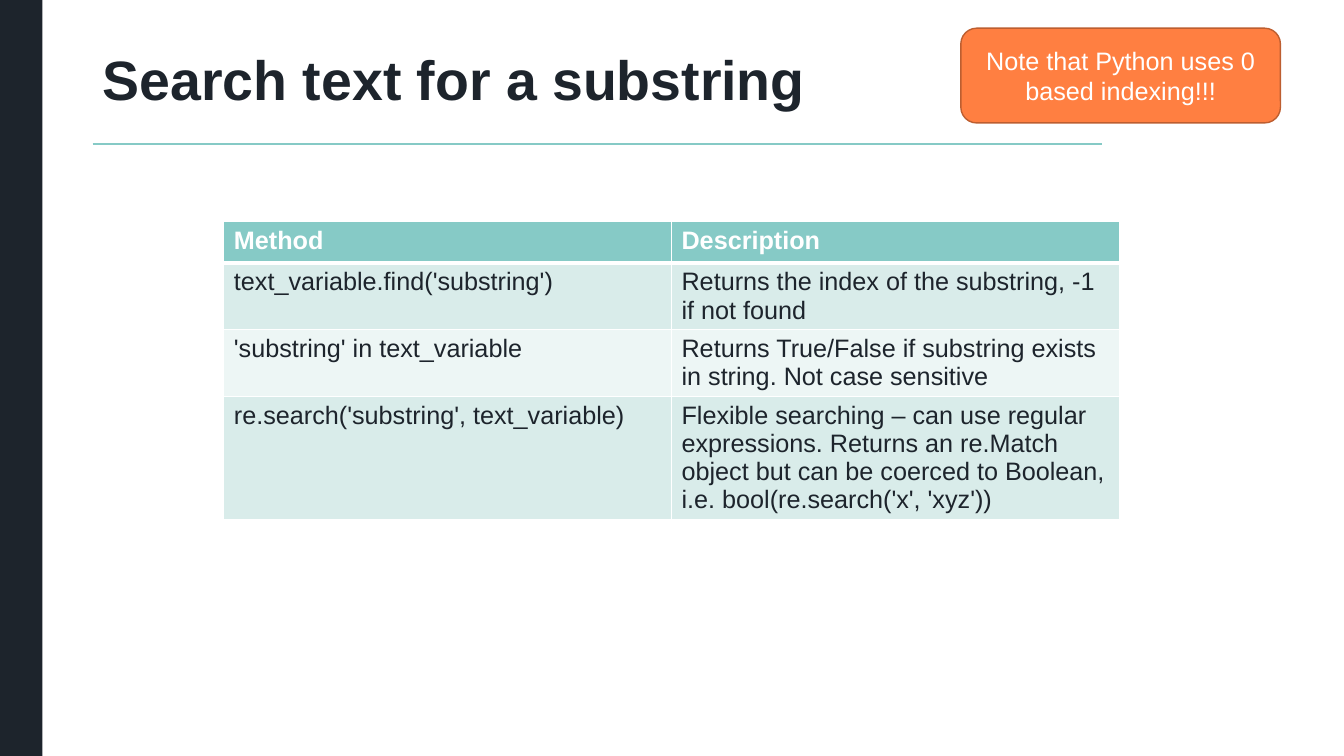
"""Build a slide about searching text for a substring in Python."""
from lxml.etree import SubElement
from pptx import Presentation
from pptx.dml.color import RGBColor
from pptx.enum.shapes import MSO_CONNECTOR, MSO_SHAPE
from pptx.enum.text import MSO_ANCHOR, PP_ALIGN
from pptx.oxml.ns import qn
from pptx.util import Inches, Pt

DARK = RGBColor(0x1D, 0x24, 0x2C)
TEAL = RGBColor(0x86, 0xCA, 0xC6)
BAND = RGBColor(0xD9, 0xEC, 0xEA)
PALE_BAND = RGBColor(0xED, 0xF6, 0xF5)
ORANGE = RGBColor(0xFF, 0x7F, 0x41)
RUST = RGBColor(0xBD, 0x5E, 0x30)
WHITE = RGBColor(0xFF, 0xFF, 0xFF)


def write(frame, text, size, color, bold=False):
    frame.word_wrap = True
    para = frame.paragraphs[0]
    span = para.add_run()
    span.text = text
    span.font.name = "Arial"
    span.font.size = Pt(size)
    span.font.bold = bold
    span.font.color.rgb = color
    return para


def add_border(cell, side, width):
    line = SubElement(cell._tc.get_or_add_tcPr(), qn(f"a:ln{side}"), w=str(Pt(width)))
    fill = SubElement(line, qn("a:solidFill"))
    SubElement(fill, qn("a:srgbClr"), val=str(WHITE))


deck = Presentation()
deck.slide_width = Inches(13.33)
deck.slide_height = Inches(7.5)
page = deck.slides.add_slide(deck.slide_layouts[6])

sidebar = page.shapes.add_shape(MSO_SHAPE.RECTANGLE, 0, 0, Inches(0.42), Inches(7.5))
sidebar.shadow.inherit = False
sidebar.fill.solid()
sidebar.fill.fore_color.rgb = DARK
sidebar.line.fill.background()

rule = page.shapes.add_connector(
    MSO_CONNECTOR.STRAIGHT, Inches(0.92), Inches(1.43), Inches(10.93), Inches(1.43))
rule.line.color.rgb = TEAL
rule.line.width = Pt(1)
SubElement(rule._element.spPr, qn("a:effectLst"))

rows = [
    ("Method", "Description"),
    ("text_variable.find('substring')",
     "Returns the index of the substring, -1 if not found"),
    ("'substring' in text_variable",
     "Returns True/False if substring exists in string. Not case sensitive"),
    ("re.search('substring', text_variable)",
     "Flexible searching – can use regular expressions. Returns an re.Match object "
     "but can be coerced to Boolean, i.e. bool(re.search('x', 'xyz'))"),
]
row_heights = [0.41, 0.65, 0.65, 1.22]
row_fills = [TEAL, BAND, PALE_BAND, BAND]
table = page.shapes.add_table(
    len(rows), 2, Inches(2.22), Inches(2.2), Inches(8.89), Inches(sum(row_heights))).table
for column in table.columns:
    column.width = Inches(4.44)
for index, texts in enumerate(rows):
    table.rows[index].height = Inches(row_heights[index])
    header = index == 0
    for cell, text in zip(table.rows[index].cells, texts):
        for side in "LRTB":
            heavy = (header and side == "B") or (index == 1 and side == "T")
            add_border(cell, side, 3 if heavy else 1)
        cell.fill.solid()
        cell.fill.fore_color.rgb = row_fills[index]
        write(cell.text_frame, text, 18, WHITE if header else DARK, header)

title = page.shapes.add_textbox(Inches(0.92), Inches(0.53), Inches(10.01), Inches(0.58))
title.text_frame.vertical_anchor = MSO_ANCHOR.MIDDLE
heading = write(title.text_frame, "Search text for a substring", 39.6, DARK, True)
heading.line_spacing = 0.9

note = page.shapes.add_shape(
    MSO_SHAPE.ROUNDED_RECTANGLE, Inches(9.53), Inches(0.28), Inches(3.17), Inches(0.94))
note.shadow.inherit = False
note.fill.solid()
note.fill.fore_color.rgb = ORANGE
note.line.color.rgb = RUST
note.line.width = Pt(1)
note.text_frame.vertical_anchor = MSO_ANCHOR.MIDDLE
warning = write(note.text_frame, "Note that Python uses 0 based indexing!!!", 18, WHITE)
warning.alignment = PP_ALIGN.CENTER

deck.save("out.pptx")
